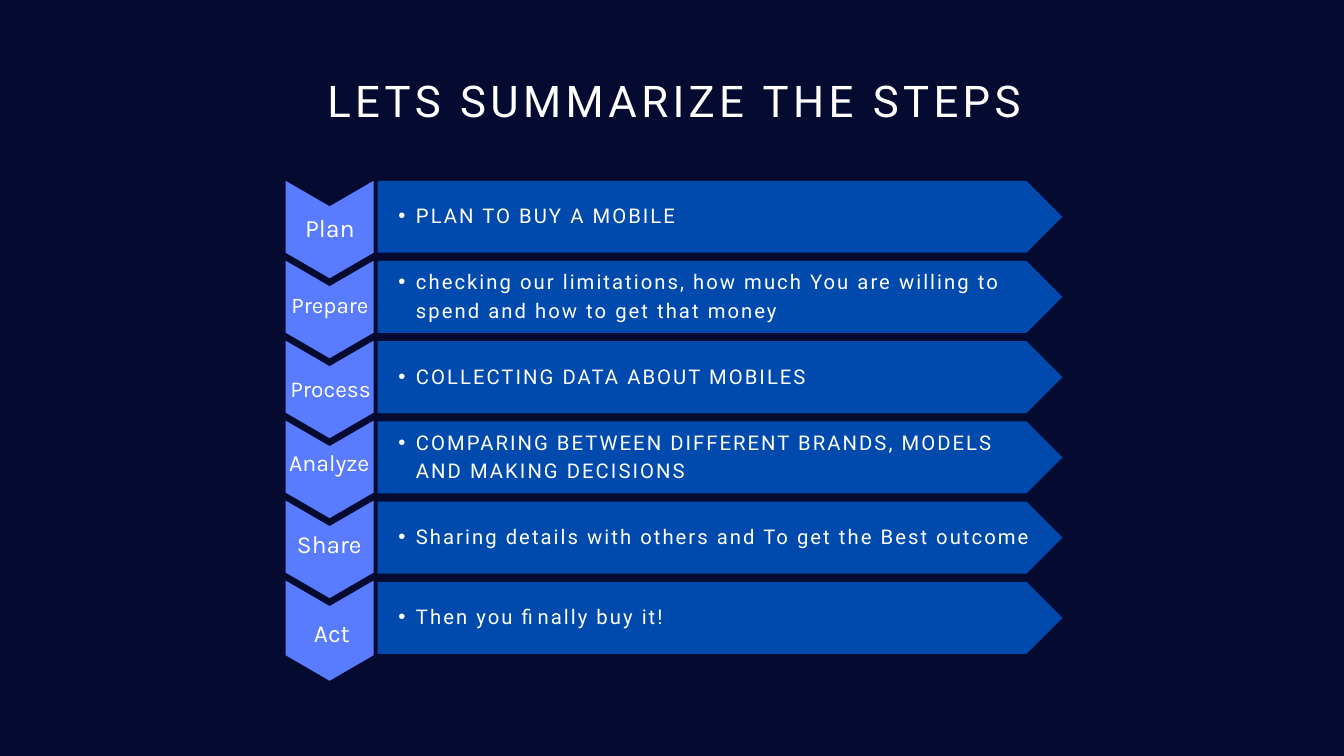
import pptx
import pptx.dml.color
import pptx.enum.shapes
import pptx.enum.text
import pptx.oxml.ns
import pptx.util
from lxml import etree

In, Pt = pptx.util.Inches, pptx.util.Pt
SHAPE = pptx.enum.shapes.MSO_SHAPE
ANCHOR = pptx.enum.text.MSO_ANCHOR
ALIGN = pptx.enum.text.PP_ALIGN

COLORS = {"navy": "050A30", "sky": "597CFF", "blue": "004AAD", "white": "FFFFFF"}

SLIDE_W, SLIDE_H = 20, 11.25
TOP = 2.69
CHEVRON_X, CHEVRON_W, CHEVRON_H, LAST_CHEVRON_H = 4.25, 1.31, 1.45, 1.49
CHEVRON_PITCH = 1.19
CHEVRON_POINT = 0.29
BAR_X, BAR_W, BAR_H = 5.62, 10.19, 1.07
BAR_PITCH = (8.66 - TOP) / 5
LABEL_W, LABEL_H = 1.48, 0.5
TRACKING = 0.1  # letter spacing as a share of the text size

# label, label centre, label top, label size, bullet text
STEPS = [
    ("Plan", 4.91, 3.09, 26.8, "PLAN TO BUY A MOBILE"),
    ("Prepare", 4.91, 4.26, 24, "checking our limitations, how much You are willing to "
                                "spend and how to get that money"),
    ("Process", 4.92, 5.51, 24.4, "COLLECTING DATA ABOUT MOBILES"),
    ("Analyze", 4.9, 6.6, 24.8,
     "COMPARING BETWEEN DIFFERENT BRANDS, MODELS AND MAKING DECISIONS"),
    ("Share", 4.9, 7.8, 26.3, "Sharing details with others and To get the Best outcome"),
    ("Act", 4.94, 9.12, 26.3, "Then you finally buy it!"),
]


def rgb(name):
    return pptx.dml.color.RGBColor.from_string(COLORS[name])


def set_frame(tf, anchor, margins=(0, 0, 0, 0)):
    """Margins run left, top, right, bottom, in inches."""
    tf.word_wrap = True
    tf.auto_size = pptx.enum.text.MSO_AUTO_SIZE.NONE
    tf.vertical_anchor = anchor
    for side, value in zip(("left", "top", "right", "bottom"), margins):
        setattr(tf, f"margin_{side}", In(value))


def write(p, text, font, size, align, tracking=0):
    p.alignment = align
    p.line_spacing = Pt(round(size * 1.4, 1))
    r = p.add_run()
    r.text = text
    for name, value in {"name": font, "size": Pt(size), "bold": False}.items():
        setattr(r.font, name, value)
    r.font.color.rgb = rgb("white")
    if tracking:
        r.font._element.set("spc", str(round(size * tracking * 100)))


def add_bullet(p, left, hanging):
    pPr = p._p.get_or_add_pPr()
    pPr.set("marL", str(In(left)))
    pPr.set("indent", str(-In(hanging)))
    etree.SubElement(pPr, pptx.oxml.ns.qn("a:buFont")).set("typeface", "Arial")
    etree.SubElement(pPr, pptx.oxml.ns.qn("a:buChar")).set("char", "•")


def add_filled(s, kind, box, color, point):
    sp = s.shapes.add_shape(kind, *map(In, box))
    sp.adjustments[0] = point
    sp.shadow.inherit = False
    sp.fill.solid()
    sp.fill.fore_color.rgb = rgb(color)
    sp.line.fill.background()
    return sp


def add_chevron(s, top, height):
    """Draws a chevron that points down: a sideways one, turned about its centre."""
    left = CHEVRON_X + (CHEVRON_W - height) / 2
    y = top + (height - CHEVRON_W) / 2
    sp = add_filled(s, SHAPE.CHEVRON, (left, y, height, CHEVRON_W), "sky", CHEVRON_POINT)
    sp.rotation = 90


def add_label(s, text, center, top, size):
    sp = s.shapes.add_textbox(In(center - LABEL_W / 2), In(top), In(LABEL_W), In(LABEL_H))
    set_frame(sp.text_frame, ANCHOR.TOP)
    write(sp.text_frame.paragraphs[0], text, "Karla", size, ALIGN.CENTER)


def add_bar(s, top, text):
    sp = add_filled(s, SHAPE.PENTAGON, (BAR_X, top, BAR_W, BAR_H), "blue", 0.5)
    set_frame(sp.text_frame, ANCHOR.MIDDLE, (0.06, 0.06, 0.09, 0.15))
    p = sp.text_frame.paragraphs[0]
    add_bullet(p, 0.51, 0.26)
    write(p, text, "Roboto", 21.7, ALIGN.LEFT, TRACKING)


def set_title(s, text):
    title = s.shapes.title
    box = {"left": 4.27, "top": 0.97, "width": 11.53, "height": 0.88}
    for name, value in box.items():
        setattr(title, name, In(value))
    set_frame(title.text_frame, ANCHOR.TOP)
    write(title.text_frame.paragraphs[0], text, "Roboto", 46.8, ALIGN.CENTER, TRACKING)


def main():
    prs = pptx.Presentation()
    prs.slide_width, prs.slide_height = In(SLIDE_W), In(SLIDE_H)
    s = prs.slides.add_slide(prs.slide_layouts[5])
    s.background.fill.solid()
    s.background.fill.fore_color.rgb = rgb("navy")

    set_title(s, "LETS SUMMARIZE THE STEPS")
    for i, (label, center, label_top, label_size, text) in enumerate(STEPS):
        height = LAST_CHEVRON_H if i == len(STEPS) - 1 else CHEVRON_H
        add_chevron(s, TOP + i * CHEVRON_PITCH, height)
        add_label(s, label, center, label_top, label_size)
        add_bar(s, TOP + i * BAR_PITCH, text)
    prs.save("out.pptx")


if __name__ == "__main__":
    main()
